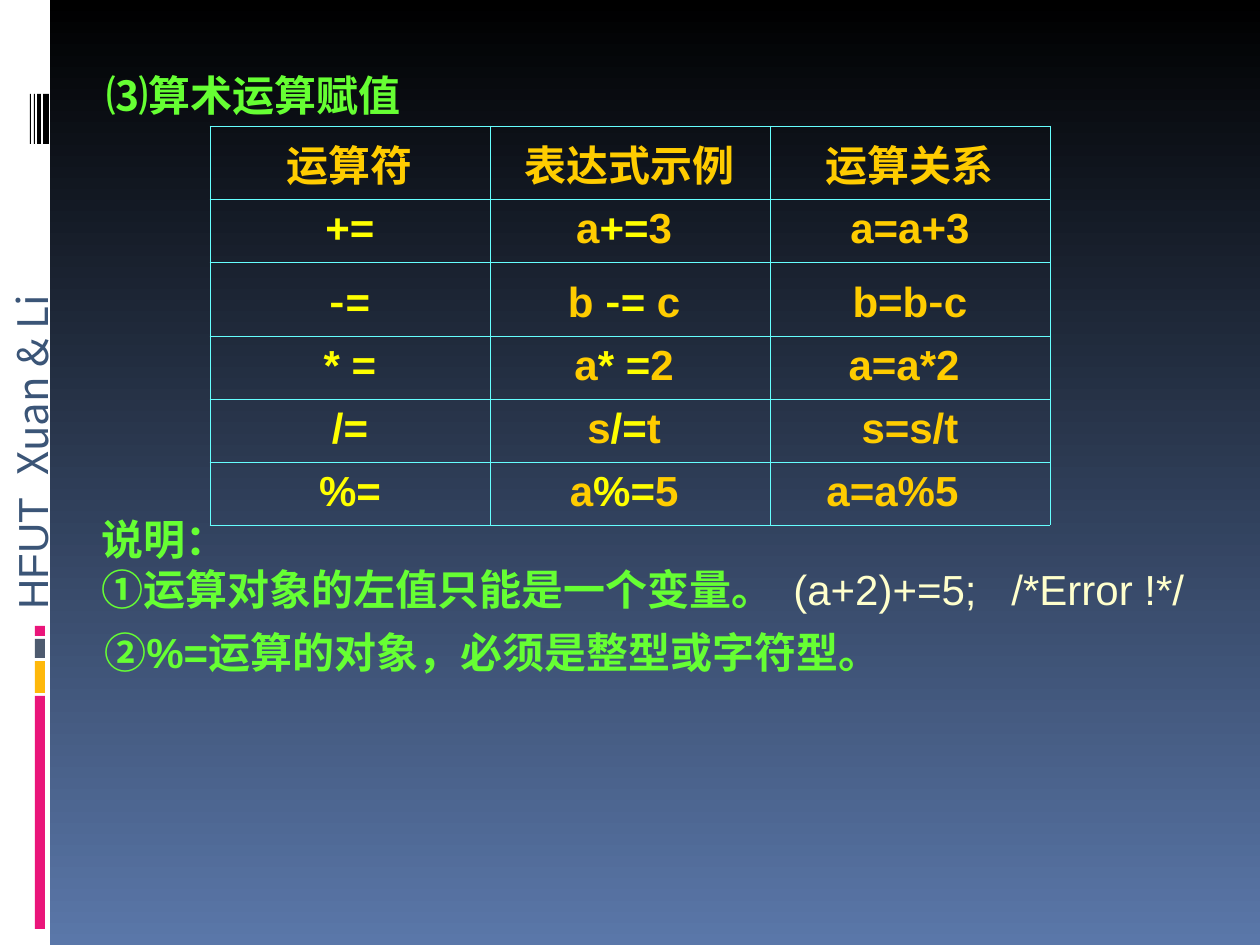
import itertools
from typing import NamedTuple

import pptx
import pptx.dml.color
import pptx.enum.shapes
import pptx.enum.text
import pptx.oxml
import pptx.oxml.ns
import pptx.util

PX_PER_INCH = 126
FONT_SIZE = pptx.util.Pt(24)
CJK_SC = "Noto Sans CJK SC"
CJK_JP = "Noto Sans CJK JP"
COLORS = {
    "black": "000000", "sky": "5A77A9", "white": "FFFFFF", "pink": "EA157A",
    "amber": "FEB80A", "slate": "4E5B6F", "side": "3B5577", "green": "66FF33",
    "gold": "FFCC00", "yellow": "FFFF00", "cream": "FFFFCC", "border": "66FFFF",
}


class Box(NamedTuple):
    left: int
    top: int
    width: int
    height: int


class Bar(NamedTuple):
    box: Box
    color: str


class Run(NamedTuple):
    text: str
    color: str
    font: str = "Arial"
    bold: bool = True


class Operator(NamedTuple):
    symbol: str
    left: str
    right: str
    relation: str


class Note(NamedTuple):
    box: Box
    lines: list[list[Run]]
    wrap: bool = False
    rotation: int = 0


BARS = [
    Bar(Box(0, 0, 50, 945), "white"),
    Bar(Box(35, 696, 10, 233), "pink"),
    Bar(Box(35, 661, 10, 32), "amber"),
    Bar(Box(35, 639, 10, 19), "slate"),
    Bar(Box(35, 626, 10, 10), "pink"),
] + [Bar(Box(left, 94, width, 50), "black")
     for left, width in [(43, 6), (37, 4), (34, 1), (30, 1)]]

TITLE_BOX = Box(94, 63, 1071, 63)
TABLE_BOX = Box(210, 126, 840, 378)
HEADERS = ["运算符", "表达式示例", "运算关系"]
OPERATORS = [
    Operator("+=", "a", "3 ", "a=a+3"),
    Operator("-=", "b ", " c ", "b=b-c"),
    Operator("* =", "a", "2 ", "a=a*2 "),
    Operator("/=", "s", "t ", "s=s/t"),
    Operator("%=", "a", "5 ", "a=a%5   "),
]

NOTES = [
    Note(Box(-141, 418, 345, 63),
         [[Run("HFUT  ", "side", bold=False),
           Run("Xuan & Li", "side", CJK_SC, bold=False)]], rotation=270),
    Note(Box(89, 507, 697, 113),
         [[Run("说明：", "green")],
          [Run("①", "green"),
           Run("运算对象的左值只能是一个变量。", "green", "Times New Roman")]]),
    Note(Box(781, 557, 416, 63),
         [[Run("(a+2)+=5;   /*Error !*/", "cream", bold=False)]]),
    Note(Box(92, 620, 804, 113),
         [[Run("②", "green", CJK_JP), Run("%=", "green"),
           Run("运算的对象，必须是整型或字符型。", "green", CJK_SC)]], wrap=True),
]


def px(value: int) -> pptx.util.Emu:
    return pptx.util.Emu(round(value * 914400 / PX_PER_INCH))


def scaled(box: Box) -> list[pptx.util.Emu]:
    return [px(value) for value in box]


def rgb(name: str) -> pptx.dml.color.RGBColor:
    return pptx.dml.color.RGBColor.from_string(COLORS[name])


def write_runs(paragraph, runs: list[Run]) -> None:
    for item in runs:
        run = paragraph.add_run()
        run.text = item.text
        run.font.size = FONT_SIZE
        run.font.bold = item.bold
        run.font.name = item.font
        run.font.color.rgb = rgb(item.color)
        east_asian = pptx.oxml.parse_xml(
            f'<a:ea {pptx.oxml.ns.nsdecls("a")} '
            f'typeface="{CJK_JP if item.font == CJK_JP else CJK_SC}"/>')
        run.font._element.find(pptx.oxml.ns.qn("a:latin")).addnext(east_asian)


def code_runs(text: str, color: str) -> list[Run]:
    """Split the text so that each minus sign gets the wider CJK glyph."""
    return [Run("".join(group), color, CJK_JP if is_minus else "Arial")
            for is_minus, group in itertools.groupby(text, lambda char: char == "-")]


def paint_background(slide) -> None:
    fill = slide.background.fill
    fill.gradient()
    fill.gradient_angle = 270
    for stop, position, color in zip(fill.gradient_stops, (0, 1), ("black", "sky")):
        stop.position = position
        stop.color.rgb = rgb(color)


def draw_bar(slide, bar: Bar) -> None:
    shape = slide.shapes.add_shape(
        pptx.enum.shapes.MSO_SHAPE.RECTANGLE, *scaled(bar.box))
    shape.shadow.inherit = False
    shape.fill.solid()
    shape.fill.fore_color.rgb = rgb(bar.color)
    shape.line.fill.background()


def fill_title(slide) -> None:
    title = slide.shapes.title
    title.left, title.top, title.width, title.height = scaled(TITLE_BOX)
    text_frame = title.text_frame
    text_frame.auto_size = pptx.enum.text.MSO_AUTO_SIZE.NONE
    text_frame.vertical_anchor = pptx.enum.text.MSO_ANCHOR.MIDDLE
    text_frame.paragraphs[0].alignment = pptx.enum.text.PP_ALIGN.LEFT
    write_runs(text_frame.paragraphs[0], [Run("⑶算术运算赋值", "green", "Courier New")])


def draw_note(slide, note: Note) -> None:
    shape = slide.shapes.add_textbox(*scaled(note.box))
    shape.rotation = note.rotation
    text_frame = shape.text_frame
    text_frame.word_wrap = note.wrap
    for index, runs in enumerate(note.lines):
        paragraph = text_frame.add_paragraph() if index else text_frame.paragraphs[0]
        write_runs(paragraph, runs)


def format_cell(cell, runs: list[Run]) -> None:
    properties = cell._tc.get_or_add_tcPr()
    for side in "LRTB":
        properties.append(pptx.oxml.parse_xml(
            f'<a:ln{side} {pptx.oxml.ns.nsdecls("a")} w="5715"><a:solidFill>'
            f'<a:srgbClr val="{COLORS["border"]}"/></a:solidFill></a:ln{side}>'))
    cell.fill.background()
    paragraph = cell.text_frame.paragraphs[0]
    paragraph.alignment = pptx.enum.text.PP_ALIGN.CENTER
    write_runs(paragraph, runs)


def draw_operator_table(slide) -> None:
    rows = [[[Run(header, "gold", "Times New Roman")] for header in HEADERS]]
    for operator in OPERATORS:
        symbol = code_runs(operator.symbol, "yellow")
        example = [Run(operator.left, "gold"), *symbol, Run(operator.right, "gold")]
        rows.append([symbol, example, code_runs(operator.relation, "gold")])
    table = slide.shapes.add_table(len(rows), len(HEADERS), *scaled(TABLE_BOX)).table
    table.first_row = False
    table.horz_banding = False
    for row_index, row in enumerate(rows):
        for column_index, runs in enumerate(row):
            format_cell(table.cell(row_index, column_index), runs)


def main() -> None:
    presentation = pptx.Presentation()
    presentation.slide_width = px(1260)
    presentation.slide_height = px(945)
    slide = presentation.slides.add_slide(presentation.slide_layouts[5])
    paint_background(slide)
    for bar in BARS:
        draw_bar(slide, bar)
    fill_title(slide)
    draw_operator_table(slide)
    for note in NOTES:
        draw_note(slide, note)
    presentation.save("out.pptx")


if __name__ == "__main__":
    main()
